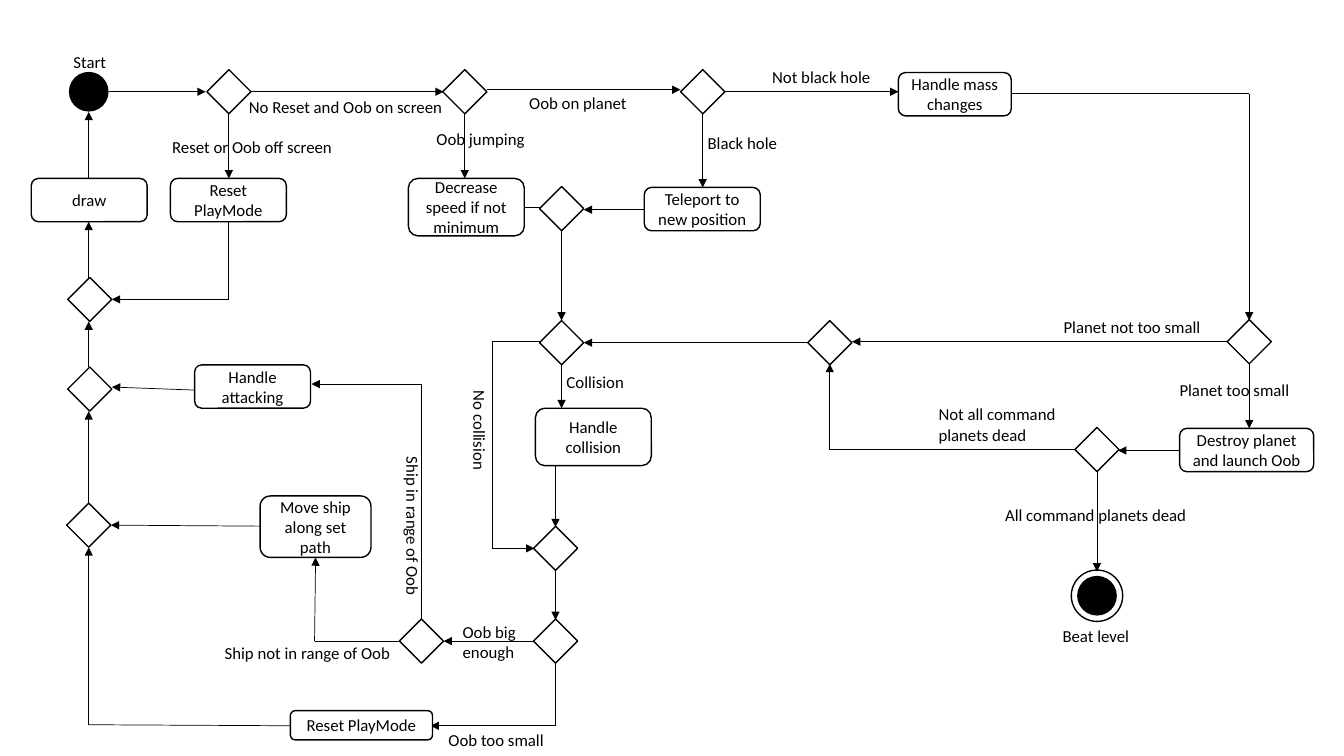
from itertools import pairwise

from lxml.etree import SubElement
from pptx import Presentation
from pptx.dml.color import RGBColor
from pptx.enum.shapes import MSO_CONNECTOR as Connector, MSO_SHAPE as Preset
from pptx.enum.text import MSO_ANCHOR as Anchor, MSO_AUTO_SIZE as AutoSize, PP_ALIGN as Align
from pptx.oxml.ns import qn
from pptx.util import Inches, Pt

COLORS = {"ink": "000000", "paper": "FFFFFF"}
FONT = "Calibri"
DIAMOND_SIDE = 0.31

# Centre of each decision or merge
DIAMONDS = [
    (2.27, 0.91), (4.61, 0.91), (6.97, 0.91), (12.39, 3.39), (10.88, 4.46),
    (5.51, 6.36), (4.18, 6.36), (5.57, 3.4), (8.23, 3.4), (5.51, 5.44),
    (0.88, 5.21), (0.89, 3.86), (0.89, 2.97), (5.57, 2.07),
]

# Text, left, top, width, height
ACTIONS = [
    ("draw", 0.31, 1.77, 1.15, 0.43),
    ("Reset PlayMode", 1.69, 1.77, 1.15, 0.43),
    ("Decrease speed if not minimum", 4.05, 1.77, 1.15, 0.57),
    ("Teleport to new position", 6.39, 1.86, 1.15, 0.43),
    ("Handle mass changes", 8.91, 0.72, 1.12, 0.43),
    ("Destroy planet and launch Oob", 11.7, 4.25, 1.33, 0.43),
    ("Handle collision", 5.31, 4.05, 1.15, 0.57),
    ("Handle attacking", 1.93, 3.62, 1.15, 0.43),
    ("Move ship along set path", 2.58, 4.92, 1.1, 0.61),
    ("Reset PlayMode", 2.88, 7.05, 1.41, 0.29),
]

# Points of each flow; the arrowhead is at the last one
FLOWS = [
    [(1.08, 0.91), (2.04, 0.91)],
    [(2.48, 0.91), (4.4, 0.91)],
    [(4.83, 0.89), (6.75, 0.89)],
    [(7.19, 0.91), (8.91, 0.91)],
    [(9.95, 0.93), (12.39, 0.93), (12.39, 3.18)],
    [(2.27, 1.13), (2.27, 1.77)],
    [(4.61, 1.13), (4.61, 1.77)],
    [(6.97, 1.13), (6.97, 1.86)],
    [(2.27, 2.2), (2.27, 2.97), (1.11, 2.97)],
    [(6.39, 2.08), (5.79, 2.08)],
    [(5.2, 2.06), (5.57, 2.06), (5.57, 3.18)],
    [(12.17, 3.39), (8.45, 3.39)],
    [(8.02, 3.4), (5.79, 3.4)],
    [(12.39, 3.61), (12.39, 4.25)],
    [(11.7, 4.47), (11.09, 4.47)],
    [(10.66, 4.46), (8.23, 4.46), (8.23, 3.61)],
    [(10.88, 4.68), (10.88, 5.67)],
    [(5.57, 3.62), (5.57, 4.05)],
    [(5.36, 3.39), (4.88, 3.39), (4.88, 5.44), (5.3, 5.44)],
    [(5.51, 4.61), (5.51, 5.23)],
    [(5.51, 5.65), (5.51, 6.15)],
    [(5.3, 6.36), (4.4, 6.36)],
    [(5.51, 6.57), (5.51, 7.2), (4.27, 7.2)],
    [(3.97, 6.36), (3.12, 6.36), (3.13, 5.53)],
    [(4.18, 6.14), (4.18, 3.81), (3.09, 3.81)],
    [(2.58, 5.22), (1.1, 5.21)],
    [(1.93, 3.87), (1.11, 3.84)],
    [(2.88, 7.2), (0.88, 7.19), (0.88, 5.43)],
    [(0.88, 5), (0.88, 4.08)],
    [(0.88, 3.64), (0.88, 3.19)],
    [(0.88, 2.76), (0.88, 2.2)],
    [(0.88, 1.77), (0.88, 1.11)],
]

# Text, left, top, width
LABELS = [
    ("Start", 0.63, 0.46, 0.53),
    ("No Reset and Oob on screen", 2.37, 0.91, 2.14),
    ("Oob jumping", 4.23, 1.23, 1.09),
    ("Oob on planet", 5.15, 0.87, 1.18),
    ("Not black hole", 7.56, 0.61, 1.19),
    ("Black hole", 6.92, 1.27, 0.9),
    ("Planet not too small", 10.45, 3.09, 1.58),
    ("Planet too small", 11.6, 3.72, 1.31),
    ("Not all command\nplanets dead", 9.21, 3.96, 1.38),
    ("All command planets dead", 9.87, 4.96, 2.02),
    ("Beat level", 10.44, 6.16, 0.87),
    ("Collision", 5.52, 3.64, 0.78),
    ("Ship not in range of Oob", 2.13, 6.33, 1.86),
    ("Oob too small", 4.35, 7.19, 1.16),
]
WRAPPED_LABELS = [
    ("Reset or Oob off screen", 1.61, 1.31, 1.86),
    ("Oob big enough", 4.49, 6.12, 0.84),
]
SIDEWAYS_LABELS = [
    ("No collision", 4.26, 4.13, 1),
    ("Ship in range of Oob", 3.3, 5.08, 1.59),
]


def color(name):
    """Return the named colour."""
    return RGBColor.from_string(COLORS[name])


def write(frame, text, align):
    """Fill a text frame, one paragraph per line."""
    frame.text = text
    for para in frame.paragraphs:
        para.alignment = align
        para.font.name, para.font.size = FONT, Pt(12)
        para.font.color.rgb = color("ink")


def add_node(page, preset, left, top, width, height, fill="paper"):
    """Add an outlined shape."""
    node = page.shapes.add_shape(preset, *map(Inches, (left, top, width, height)))
    node.shadow.inherit = False
    node.fill.solid()
    node.fill.fore_color.rgb = color(fill)
    node.line.color.rgb = color("ink")
    node.line.width = Pt(1)
    return node


def add_diamond(page, x, y):
    """Add a square turned on its corner, centred on a point."""
    half = DIAMOND_SIDE / 2
    node = add_node(page, Preset.RECTANGLE, x - half, y - half, DIAMOND_SIDE, DIAMOND_SIDE)
    node.rotation = 45


def add_circle(page, x, y, size, fill):
    """Add a circle centred on a point."""
    add_node(page, Preset.OVAL, x - size / 2, y - size / 2, size, size, fill)


def add_action(page, text, *place):
    """Add a rounded box with centred text."""
    box = add_node(page, Preset.ROUNDED_RECTANGLE, *place)
    box.text_frame.word_wrap = True
    box.text_frame.vertical_anchor = Anchor.MIDDLE
    write(box.text_frame, text, Align.CENTER)


def add_flow(page, points):
    """Join points with thin lines and put an arrowhead on the last line."""
    for start, end in pairwise(points):
        line = page.shapes.add_connector(Connector.STRAIGHT, *map(Inches, start + end))
        line.line.color.rgb = color("ink")
        line.line.width = Pt(0.5)
        SubElement(line._element.spPr, qn("a:effectLst"))
    SubElement(line.line._get_or_add_ln(), qn("a:tailEnd"), type="triangle")


def add_label(page, text, left, top, width, wrap=False, turn=0):
    """Add a free text label."""
    lines = 2 if "\n" in text or width < 0.85 and wrap else 1
    box = page.shapes.add_textbox(*map(Inches, (left, top, width, 0.1 + 0.2 * lines)))
    box.rotation = turn
    box.text_frame.word_wrap = wrap
    box.text_frame.auto_size = AutoSize.SHAPE_TO_FIT_TEXT
    write(box.text_frame, text, Align.LEFT)


def main():
    """Build the activity diagram of the game loop."""
    deck = Presentation()
    deck.slide_width, deck.slide_height = Inches(13.33), Inches(7.5)
    page = deck.slides.add_slide(deck.slide_layouts[6])
    add_circle(page, 0.88, 0.91, 0.38, "ink")
    add_circle(page, 10.88, 5.91, 0.51, "paper")
    add_circle(page, 10.88, 5.91, 0.38, "ink")
    for points in FLOWS:
        add_flow(page, points)
    for center in DIAMONDS:
        add_diamond(page, *center)
    for action in ACTIONS:
        add_action(page, *action)
    for label in LABELS:
        add_label(page, *label)
    for label in WRAPPED_LABELS:
        add_label(page, *label, wrap=True)
    for label in SIDEWAYS_LABELS:
        add_label(page, *label, turn=90)
    deck.save("out.pptx")


main()
